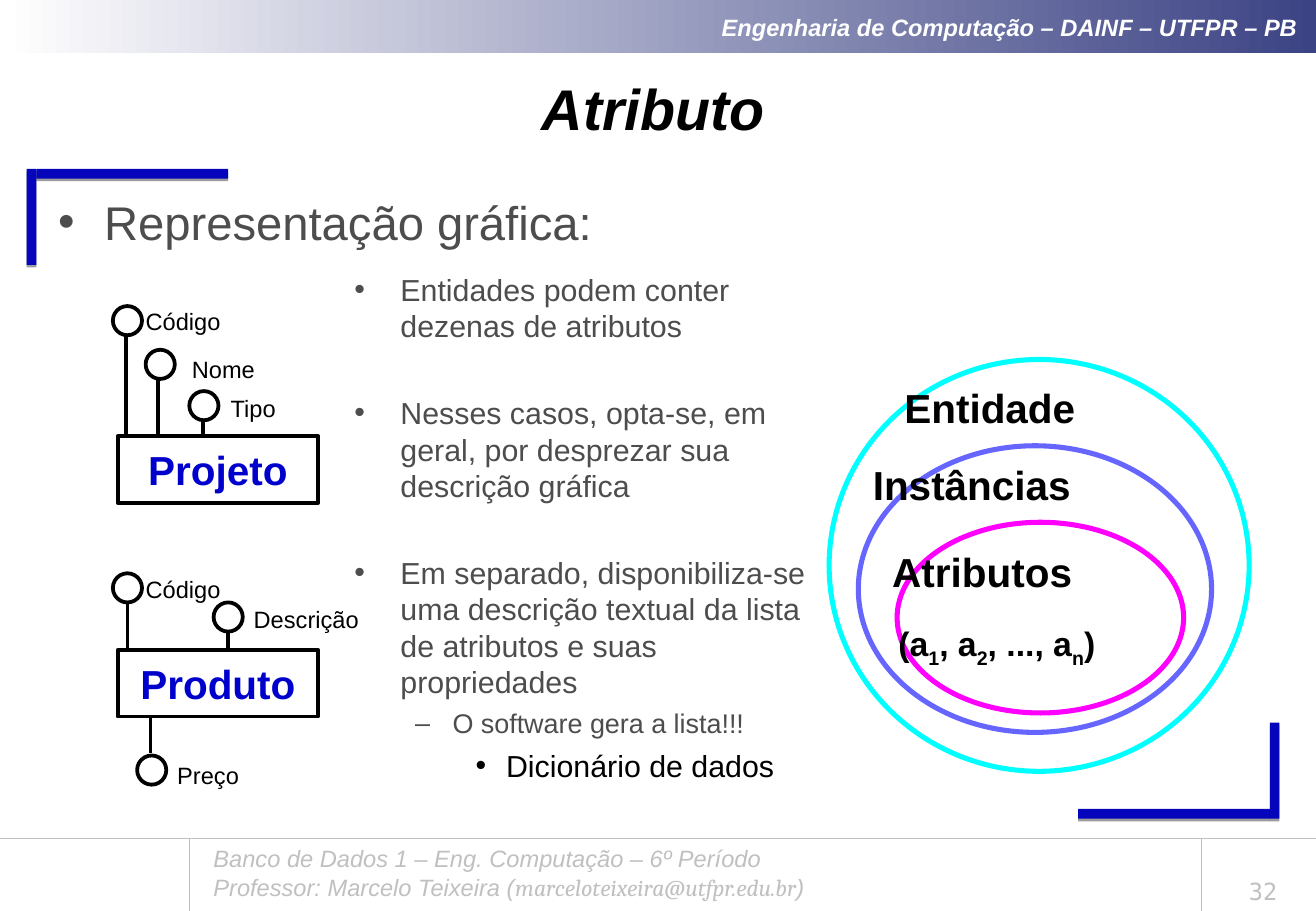
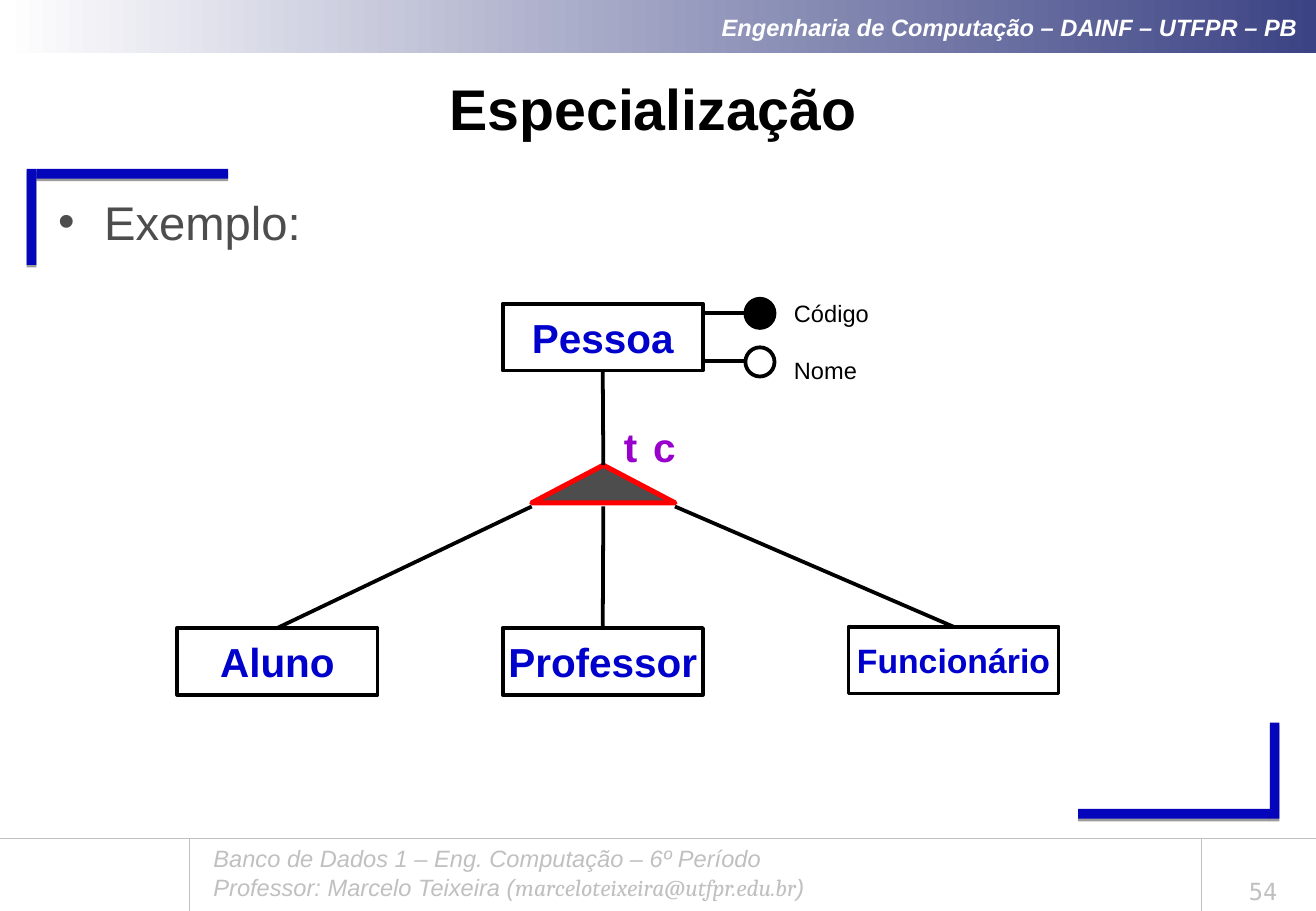
from lxml import etree
from pptx import Presentation
from pptx.dml.color import RGBColor
from pptx.enum.shapes import MSO_CONNECTOR, MSO_SHAPE
from pptx.enum.text import MSO_ANCHOR, PP_ALIGN
from pptx.oxml.ns import qn
from pptx.util import Inches, Pt

RECT, OVAL, TRIANGLE = MSO_SHAPE.RECTANGLE, MSO_SHAPE.OVAL, MSO_SHAPE.ISOSCELES_TRIANGLE
STRAIGHT = MSO_CONNECTOR.STRAIGHT
TOP, MIDDLE, BOTTOM = MSO_ANCHOR.TOP, MSO_ANCHOR.MIDDLE, MSO_ANCHOR.BOTTOM
LEFT, CENTER, RIGHT = PP_ALIGN.LEFT, PP_ALIGN.CENTER, PP_ALIGN.RIGHT
SIDE_TOP, SIDE_BOTTOM = 0, 2

BLACK = RGBColor(0x00, 0x00, 0x00)
WHITE = RGBColor(0xFF, 0xFF, 0xFF)
NAVY = RGBColor(0x3C, 0x43, 0x84)
BRACKET_BLUE = RGBColor(0x05, 0x05, 0xBB)
ENTITY_BLUE = RGBColor(0x00, 0x00, 0xCC)
SILVER = RGBColor(0xC0, 0xC0, 0xC0)
GRAY = RGBColor(0x4D, 0x4D, 0x4D)
CYAN = RGBColor(0x00, 0xFF, 0xFF)
PERIWINKLE = RGBColor(0x66, 0x66, 0xFF)
MAGENTA = RGBColor(0xFF, 0x00, 0xFF)
RED = RGBColor(0xFF, 0x00, 0x00)
PURPLE = RGBColor(0x99, 0x00, 0xCC)

FONT, MAIL_FONT, NUMBER_FONT = "Arial", "Cambria", "DejaVu Sans Mono"
WIDTH, HEIGHT = 10.84, 7.5
FOOTER_TOP = 6.9
STROKE = 2.25
DOT = 0.24
ENTITY_W, ENTITY_H = 1.65, 0.55
WIDE, NARROW = (0.1, 0.05), (0.04, 0.04)


class Deck:
    def __init__(self):
        self.prs = Presentation()
        self.prs.slide_width, self.prs.slide_height = Inches(WIDTH), Inches(HEIGHT)
        self.s = None

    # Basic elements
    def style(self, runs, size, color=BLACK, bold=False, italic=False, font=FONT):
        for r in runs:
            r.font.name, r.font.size = font, Pt(size)
            r.font.bold, r.font.italic = bold, italic
            r.font.color.rgb = color

    def fill_text(self, sp, text, size, align=LEFT, anchor=TOP, margins=WIDE, wrap=True, **look):
        tf = sp.text_frame
        tf.word_wrap, tf.vertical_anchor = wrap, anchor
        tf.margin_left = tf.margin_right = Inches(margins[0])
        tf.margin_top = tf.margin_bottom = Inches(margins[1])
        tf.text = text
        for p in tf.paragraphs:
            p.alignment = align
            self.style(p.runs, size, **look)
        return tf

    def text(self, box, text, size, **options):
        sp = self.s.shapes.add_textbox(*map(Inches, box))
        return self.fill_text(sp, text, size, **options)

    def label(self, x, y, text, size=14, **look):
        return self.text((x, y, 2.3, size / 50 + 0.03), text, size, margins=NARROW, **look)

    def shape(self, kind, box, fill=None, line=None, width=STROKE):
        sp = self.s.shapes.add_shape(kind, *map(Inches, box))
        sp.shadow.inherit = False
        if fill is None:
            sp.fill.background()
        else:
            sp.fill.solid()
            sp.fill.fore_color.rgb = fill
        if line is None:
            sp.line.fill.background()
        else:
            sp.line.color.rgb, sp.line.width = line, Pt(width)
        return sp

    def line(self, start, end, color=BLACK, width=STROKE):
        cn = self.s.shapes.add_connector(STRAIGHT, *map(Inches, start + end))
        cn.line.color.rgb, cn.line.width = color, Pt(width)
        etree.SubElement(cn._element.spPr, qn("a:effectLst"))
        return cn

    def bullet(self, p, char, indent, hang, size, color=GRAY, before=0):
        pPr = p._p.get_or_add_pPr()
        pPr.set("marL", str(Inches(indent)))
        pPr.set("indent", str(-Inches(hang)))
        clr = etree.SubElement(pPr, qn("a:buClr"))
        etree.SubElement(clr, qn("a:srgbClr"), val=str(color))
        etree.SubElement(pPr, qn("a:buFont"), typeface=FONT)
        etree.SubElement(pPr, qn("a:buChar"), char=char)
        p.space_before = Pt(before)
        self.style(p.runs, size, color)

    # Shared slide frame
    def bracket_bar(self, *box):
        sp = self.shape(RECT, box, BRACKET_BLUE)
        effects = sp._element.spPr.find(qn("a:effectLst"))
        shadow = etree.SubElement(effects, qn("a:outerShdw"), dist=str(Pt(1.6)), dir="5400000",
                                  algn="ctr", rotWithShape="0")
        clr = etree.SubElement(shadow, qn("a:srgbClr"), val="000000")
        etree.SubElement(clr, qn("a:alpha"), val="38000")

    def add_slide(self, title, number, heading, italic=False):
        self.s = self.prs.slides.add_slide(self.prs.slide_layouts[6])
        # Header band
        band = self.shape(RECT, (0.02, 0, WIDTH - 0.02, 0.44), WHITE)
        band.fill.gradient()
        band.fill.gradient_angle = 0
        for stop, color in zip(band.fill.gradient_stops, (WHITE, NAVY)):
            stop.color.rgb = color
        self.fill_text(band, "Engenharia de Computação – DAINF – UTFPR – PB", 14, align=RIGHT,
                       anchor=MIDDLE, margins=(0.15, 0.05), color=WHITE, bold=True, italic=True)
        # Corner brackets
        for bar_x, bar_y, post_x, post_y in ((8.88, 6.66, 10.46, 5.95), (0.3, 1.39, 0.22, 1.39)):
            self.bracket_bar(bar_x, bar_y, 1.58, 0.08)
            self.bracket_bar(post_x, post_y, 0.08, 0.79)
        # Footer
        for x in (1.56, 9.9):
            self.line((x, FOOTER_TOP), (x, HEIGHT), SILVER, 0.75)
        tf = self.text((1.66, FOOTER_TOP, 7.54, 0.57), "Banco de Dados 1 – Eng. Computação – 6º Período\n"
                       "Professor: Marcelo Teixeira (", 14, color=SILVER, italic=True)
        for part, font in (("marceloteixeira@utfpr.edu.br", MAIL_FONT), (")", FONT)):
            r = tf.paragraphs[1].add_run()
            r.text = part
            self.style([r], 14, SILVER, italic=True, font=font)
        self.line((0, FOOTER_TOP), (WIDTH, FOOTER_TOP), SILVER, 0.25)
        self.text((9.97, 7.11, 0.87, 0.39), number, 14, align=CENTER, anchor=BOTTOM,
                  color=SILVER, font=NUMBER_FONT)
        # Title and heading
        self.text((0.22, 0.54, 10.32, 0.69), title, 34, align=CENTER, anchor=MIDDLE,
                  bold=True, italic=italic)
        tf = self.text((0.38, 1.54, 10, 0.6), heading, 28)
        self.bullet(tf.paragraphs[0], "•", 0.38, 0.38, 28)

    # Entity-relationship elements
    def attribute(self, dot, stem, name, name_at, fill=WHITE):
        self.line(*stem)
        self.shape(OVAL, dot + (DOT, DOT), fill, BLACK)
        self.label(*name_at, name)

    def entity(self, x, y, name, width=ENTITY_W, size=24):
        sp = self.shape(RECT, (x, y, width, ENTITY_H), WHITE, BLACK)
        self.fill_text(sp, name, size, align=CENTER, anchor=MIDDLE, margins=NARROW, wrap=False,
                       color=ENTITY_BLUE, bold=True)
        return sp


def attribute_slide(deck):
    deck.add_slide("Atributo", "32", "Representação gráfica:", italic=True)

    # Nested sets
    for box, color in (((6.83, 2.96, 3.46, 3.39), CYAN),
                       ((7.07, 3.67, 2.91, 2.36), PERIWINKLE),
                       ((7.39, 4.3, 2.36, 1.57), MAGENTA)):
        deck.shape(OVAL, box, line=color, width=3)
    for x, y, name in ((7.41, 3.11, "Entidade"), (7.15, 3.75, "Instâncias"), (7.31, 4.46, "Atributos")):
        deck.label(x, y, name, 24, bold=True)
    p = deck.label(7.36, 5.09, "(a", 20, bold=True).paragraphs[0]
    for i, part in enumerate(("1", ", a", "2", ", ..., a", "n", ")")):
        r = p.add_run()
        r.text = part
        deck.style([r], 20, bold=True)
        if i % 2 == 0:
            r._r.get_or_add_rPr().set("baseline", "-25000")

    # Entities with their attributes
    for dot, stem, name, name_at in (
        ((0.93, 2.52), ((1.04, 2.73), (1.04, 3.59)), "Código", (1.16, 2.49)),
        ((1.2, 2.88), ((1.3, 3.12), (1.3, 3.67)), "Nome", (1.54, 2.88)),
        ((1.56, 3.22), ((1.67, 3.43), (1.67, 3.99)), "Tipo", (1.86, 3.2)),
        ((0.93, 4.72), ((1.05, 4.96), (1.05, 5.35)), "Código", (1.16, 4.69)),
        ((1.76, 4.96), ((1.88, 5.19), (1.88, 5.59)), "Descrição", (2.05, 4.94)),
        ((1.13, 6.22), ((1.24, 5.81), (1.24, 6.2)), "Preço", (1.42, 6.22)),
    ):
        deck.attribute(dot, stem, name, name_at)
    for y, name in ((3.59, "Projeto"), (5.35, "Produto")):
        deck.entity(0.97, y, name)

    # Notes on representation
    items = (
        ("Entidades podem conter dezenas de atributos", 0, 0),
        ("Nesses casos, opta-se, em geral, por desprezar sua descrição gráfica", 0, 30),
        ("Em separado, disponibiliza-se uma descrição textual da lista de atributos "
         "e suas propriedades", 0, 30),
        ("O software gera a lista!!!", 1, 4),
        ("Dicionário de dados", 2, 4.5),
    )
    levels = (("•", 0.38, 0.38, 18, GRAY), ("–", 0.81, 0.31, 16, GRAY), ("•", 1.25, 0.25, 18, BLACK))
    tf = deck.text((2.82, 2.18, 4.02, 4.49), "\n".join(item[0] for item in items), 18)
    for p, (_, level, before) in zip(tf.paragraphs, items):
        p.level = level
        deck.bullet(p, *levels[level], before=before)


def specialization_slide(deck):
    deck.add_slide("Especialização", "54", "Exemplo:")

    # Attributes of the general entity
    for y, stem_y, name, name_y, fill in ((2.46, 2.58, "Código", 2.42, BLACK),
                                          (2.86, 2.97, "Nome", 2.89, WHITE)):
        deck.attribute((6.14, y), ((6.19, stem_y), (5.64, stem_y)), name, (6.5, name_y), fill)

    # Entities and specialization triangle
    person = deck.entity(4.14, 2.5, "Pessoa")
    student = deck.entity(1.46, 5.17, "Aluno")
    teacher = deck.entity(4.14, 5.17, "Professor")
    employee = deck.entity(6.99, 5.16, "Funcionário", width=1.73, size=20)
    triangle = deck.shape(TRIANGLE, (4.38, 3.83, 1.18, 0.31), GRAY, RED, 3)
    for x, letter in ((5.1, "t"), (5.34, "c")):
        deck.label(x, 3.43, letter, 24, color=PURPLE, bold=True)

    # Links
    link = deck.line((4.97, 3.05), (4.97, 3.83))
    link.begin_connect(person, SIDE_BOTTOM)
    link.end_connect(triangle, SIDE_TOP)
    for x, child in ((4.38, student), (4.97, teacher), (5.56, employee)):
        link = deck.line((x, 4.17), (x, 5.17))
        link.end_connect(child, SIDE_TOP)


def main():
    deck = Deck()
    attribute_slide(deck)
    specialization_slide(deck)
    deck.prs.save("out.pptx")


if __name__ == "__main__":
    main()
